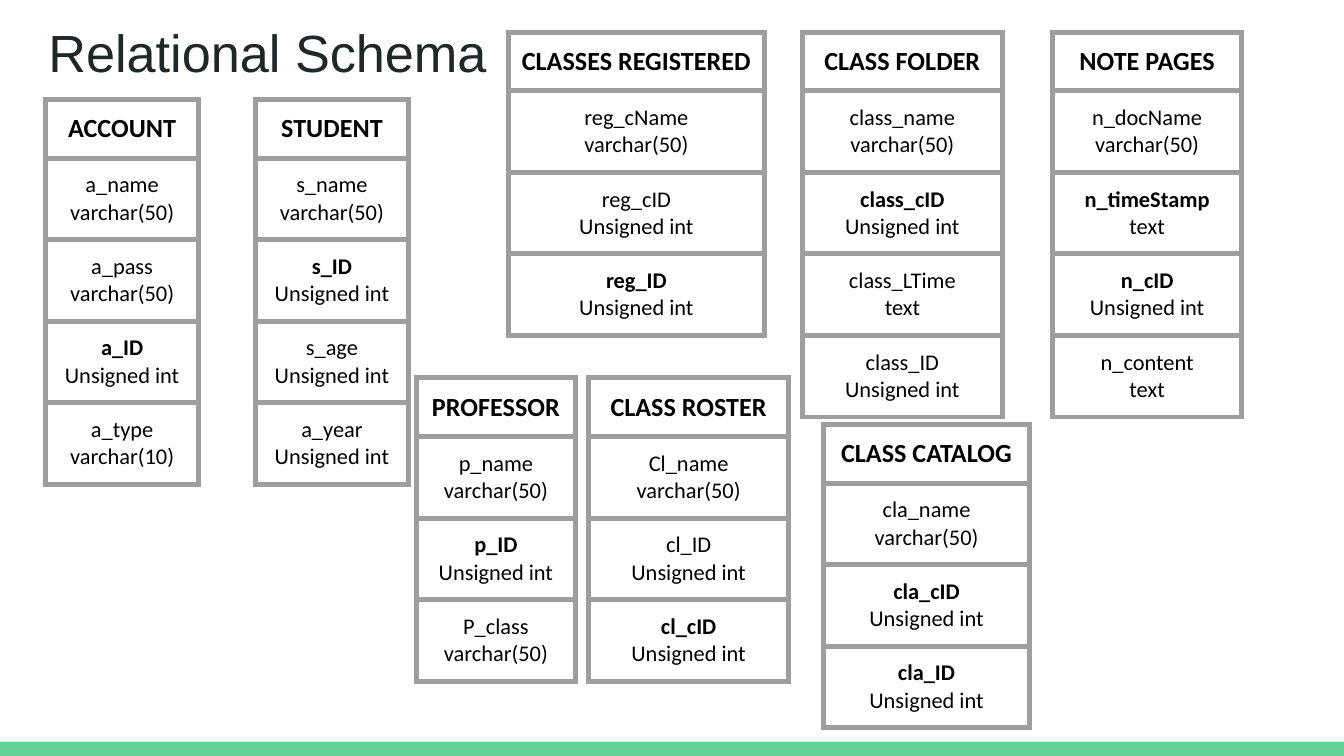
import dataclasses

import pptx
import pptx.dml.color
import pptx.enum.shapes
import pptx.enum.text
import pptx.oxml
import pptx.oxml.ns
import pptx.util

Pt = pptx.util.Pt
VARCHAR = "varchar(50)"
INT = "Unsigned int"
KEY = True


@dataclasses.dataclass(frozen=True)
class Theme:
    """Colours, fonts and sizes used across the slide."""
    title_font: str = "Arial"
    table_font: str = "Calibri"
    title_size: float = 28
    header_size: float = 14
    field_size: float = 12
    title_color: str = "202729"
    text_color: str = "000000"
    band_color: str = "63D297"
    border_color: str = "9E9E9E"
    border_width: float = 3
    inset: float = 7.2
    header_height: float = 31.2
    field_height: float = 43.6


THEME = Theme()

SCHEMA = [
    ("ACCOUNT", 24.4, 53.2, 82.1, [
        ("a_name", VARCHAR), ("a_pass", VARCHAR), ("a_ID", INT, KEY),
        ("a_type", "varchar(10)")]),
    ("STUDENT", 136.8, 53.2, 82.1, [
        ("s_name", VARCHAR), ("s_ID", INT, KEY), ("s_age", INT), ("a_year", INT)]),
    ("PROFESSOR", 223.2, 202.4, 85, [
        ("p_name", VARCHAR), ("p_ID", INT, KEY), ("P_class", VARCHAR)]),
    ("CLASS ROSTER", 315.3, 202.4, 107.3, [
        ("Cl_name", VARCHAR), ("cl_ID", INT), ("cl_cID", INT, KEY)]),
    ("CLASSES REGISTERED", 272.2, 17.2, 137.5, [
        ("reg_cName", VARCHAR), ("reg_cID", INT), ("reg_ID", INT, KEY)]),
    ("CLASS CATALOG", 441.3, 227.3, 110.2, [
        ("cla_name", VARCHAR), ("cla_cID", INT, KEY), ("cla_ID", INT, KEY)]),
    ("CLASS FOLDER", 429.8, 17.2, 107.3, [
        ("class_name", VARCHAR), ("class_cID", INT, KEY), ("class_LTime", "text"),
        ("class_ID", INT)]),
    ("NOTE PAGES", 563.8, 17.2, 101.5, [
        ("n_docName", VARCHAR), ("n_timeStamp", "text", KEY), ("n_cID", INT, KEY),
        ("n_content", "text")]),
]


def rgb(value):
    """Turn a hex string into a colour."""
    return pptx.dml.color.RGBColor.from_string(value)


def set_insets(target):
    """Give a cell or text frame the same margin on every side."""
    for side in ("left", "right", "top", "bottom"):
        setattr(target, f"margin_{side}", Pt(THEME.inset))


def add_span(para, text, font, size, color, bold=False):
    """Append one formatted run to a paragraph."""
    span = para.add_run()
    span.text = text
    span.font.name = font
    span.font.size = Pt(size)
    span.font.bold = bold
    span.font.color.rgb = rgb(color)


def set_title(page, text):
    """Place and fill the title placeholder."""
    box = page.shapes.title
    box.left, box.top, box.width, box.height = Pt(18.7), Pt(3.6), Pt(670.8), Pt(45.4)
    frame = box.text_frame
    set_insets(frame)
    frame.word_wrap = True
    frame.auto_size = pptx.enum.text.MSO_AUTO_SIZE.NONE
    frame.vertical_anchor = pptx.enum.text.MSO_ANCHOR.TOP
    para = frame.paragraphs[0]
    para.alignment = pptx.enum.text.PP_ALIGN.LEFT
    add_span(para, text, THEME.title_font, THEME.title_size, THEME.title_color)


def add_band(page):
    """Draw the coloured strip along the bottom edge."""
    band = page.shapes.add_shape(
        pptx.enum.shapes.MSO_SHAPE.RECTANGLE, Pt(0), Pt(397.4), Pt(720), Pt(7.6))
    band.shadow.inherit = False
    band.fill.solid()
    band.fill.fore_color.rgb = rgb(THEME.band_color)
    band.line.fill.background()


def set_borders(cell):
    """Draw a solid border on all four sides of a cell."""
    properties = cell._tc.get_or_add_tcPr()
    for index, side in enumerate("LRTB"):
        properties.insert(index, pptx.oxml.parse_xml(
            f'<a:ln{side} {pptx.oxml.ns.nsdecls("a")} w="{Pt(THEME.border_width)}">'
            f'<a:solidFill><a:srgbClr val="{THEME.border_color}"/></a:solidFill>'
            f'</a:ln{side}>'))


def fill_cell(cell, lines, size):
    """Write centred (text, bold) lines into a bordered, unfilled cell."""
    set_insets(cell)
    cell.fill.background()
    set_borders(cell)
    frame = cell.text_frame
    for index, (text, bold) in enumerate(lines):
        para = frame.add_paragraph() if index else frame.paragraphs[0]
        para.alignment = pptx.enum.text.PP_ALIGN.CENTER
        add_span(para, text, THEME.table_font, size, THEME.text_color, bold)


def add_relation(page, name, left, top, width, fields):
    """Add a one-column table with the relation name and its fields."""
    height = THEME.header_height + THEME.field_height * len(fields)
    table = page.shapes.add_table(
        len(fields) + 1, 1, Pt(left), Pt(top), Pt(width), Pt(height)).table
    table.first_row = False
    table.horz_banding = False
    table.rows[0].height = Pt(THEME.header_height)
    fill_cell(table.cell(0, 0), [(name, True)], THEME.header_size)
    for row, (field, kind, *key) in enumerate(fields, start=1):
        table.rows[row].height = Pt(THEME.field_height)
        fill_cell(table.cell(row, 0), [(field, bool(key)), (kind, False)],
                  THEME.field_size)


def main():
    """Build the relational schema slide."""
    deck = pptx.Presentation()
    deck.slide_width, deck.slide_height = Pt(720), Pt(405)
    page = deck.slides.add_slide(deck.slide_layouts.get_by_name("Title Only"))
    add_band(page)
    set_title(page, "Relational Schema")
    for relation in SCHEMA:
        add_relation(page, *relation)
    deck.save("out.pptx")


if __name__ == "__main__":
    main()
